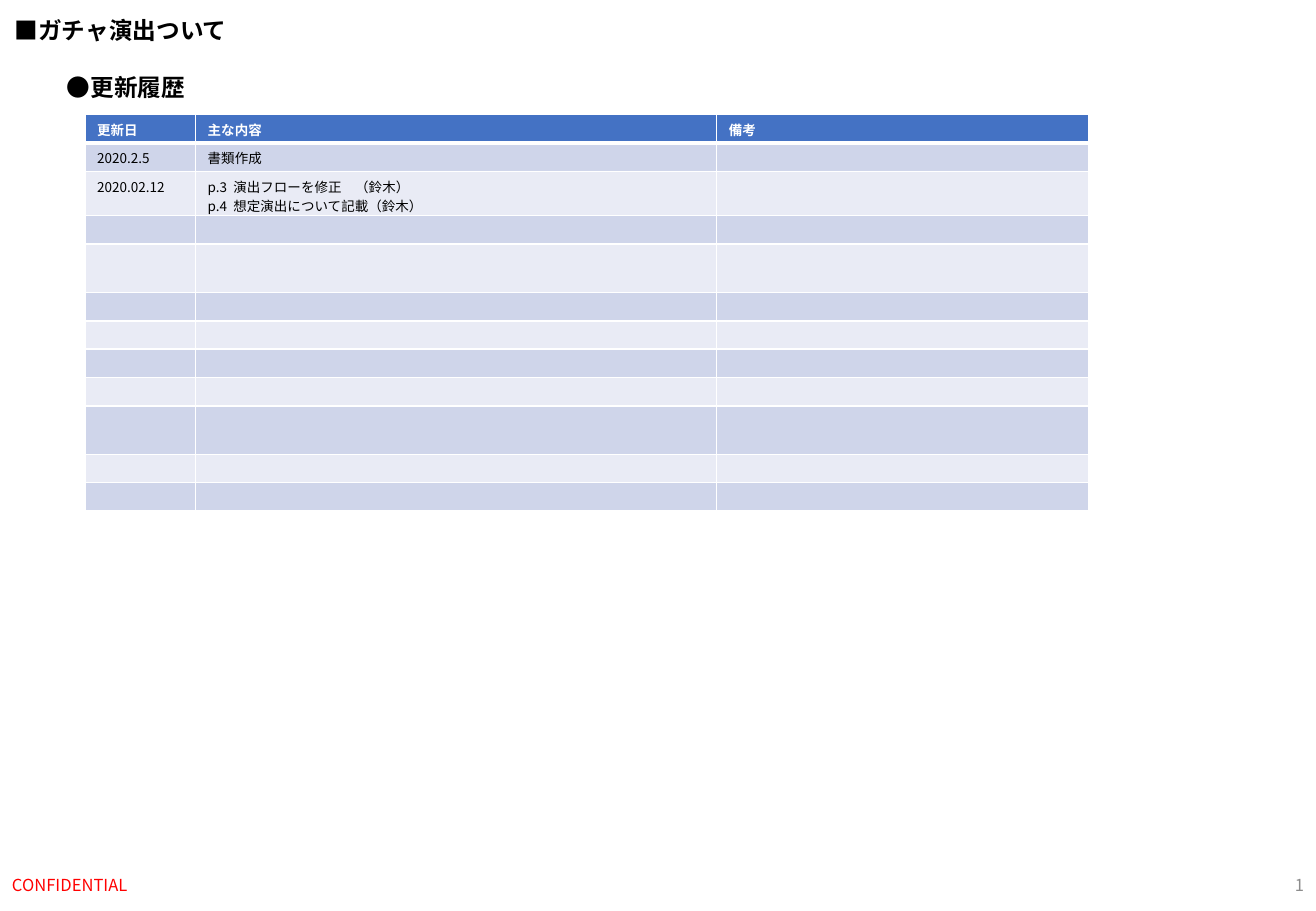
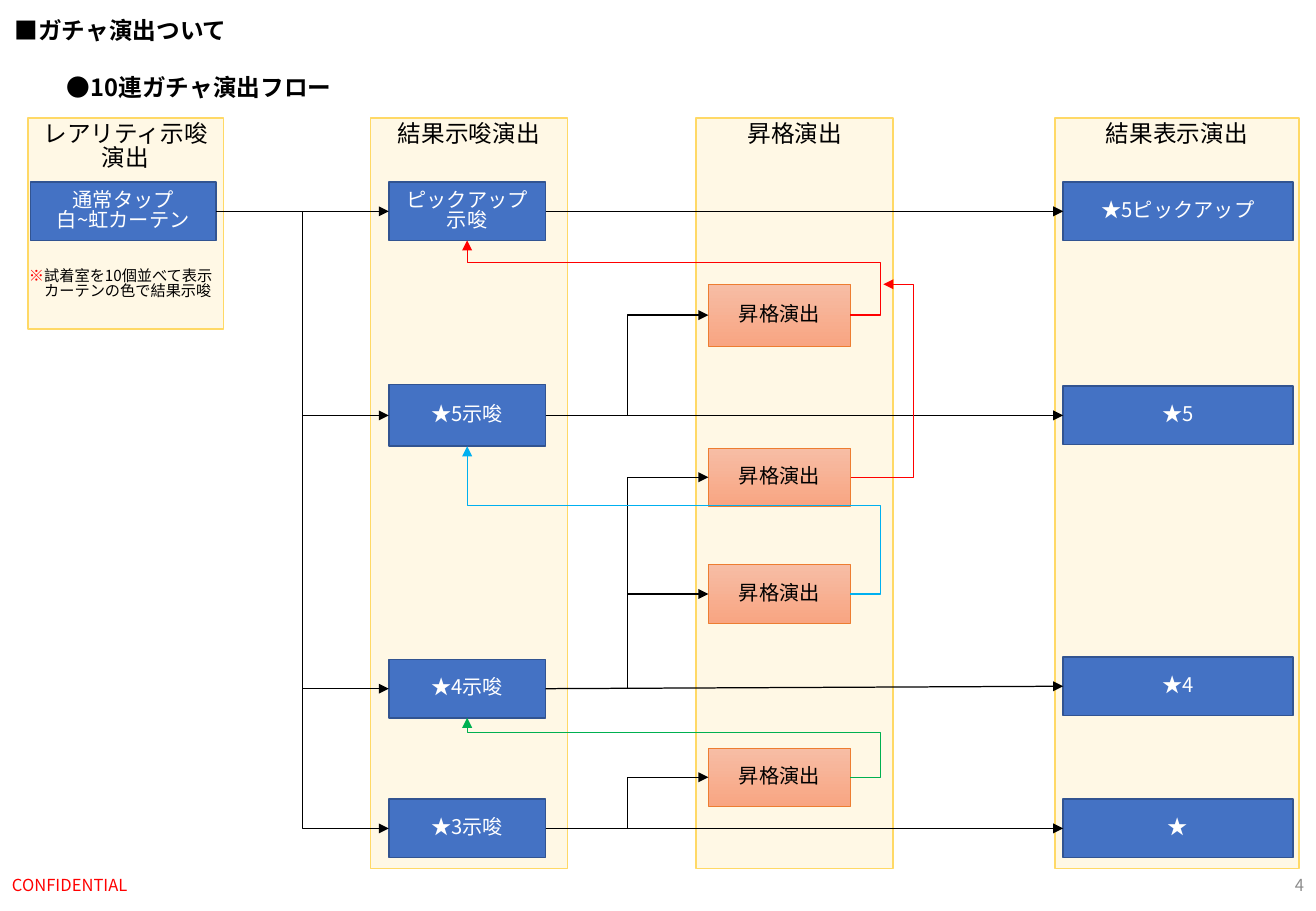
import lxml.etree
import pptx
import pptx.dml.color
import pptx.enum.shapes
import pptx.enum.text
import pptx.oxml.ns
import pptx.util

FONT = "Noto Sans CJK JP"
BLACK, WHITE, RED, GRAY = "000000", "FFFFFF", "FF0000", "8C8C8C"
BLUE, NAVY, ORANGE, GOLD, CREAM = "4472C4", "325491", "ED7D31", "FFD966", "FFF2CC"
CYAN, GREEN = "00B0F0", "00B050"
BANDS = ("E9EBF5", "CFD5EA")
PEACH = ("F7BDA5", "F8A582")
LEFT, BOTTOM, RIGHT = 1, 2, 3
ALIGN = pptx.enum.text.PP_ALIGN
ANCHOR = pptx.enum.text.MSO_ANCHOR
CONNECTOR = pptx.enum.shapes.MSO_CONNECTOR
RECT = pptx.enum.shapes.MSO_SHAPE.RECTANGLE


def rgb(value):
    return pptx.dml.color.RGBColor.from_string(value)


def add_xml(parent, tag, **attributes):
    return lxml.etree.SubElement(parent, pptx.oxml.ns.qn(tag), attributes)


class Deck:
    def __init__(self):
        self.prs = pptx.Presentation()
        self.prs.slide_width = pptx.util.Inches(10.83)
        self.prs.slide_height = pptx.util.Inches(7.5)
        self.s = None

    def x(self, percent):
        return round(self.prs.slide_width * percent / 100)

    def y(self, percent):
        return round(self.prs.slide_height * percent / 100)

    def frame(self, x, y, w, h):
        return self.x(x), self.y(y), self.x(w), self.y(h)

    def set_text(self, tf, text, size, color=BLACK, bold=False, align=ALIGN.LEFT,
                 anchor=ANCHOR.TOP, spacing=0.83):
        tf.word_wrap = True
        tf.vertical_anchor = anchor
        tf.auto_size = pptx.enum.text.MSO_AUTO_SIZE.NONE
        self.paragraphs(tf, text, size, color, bold, align, spacing)

    def paragraphs(self, tf, text, size, color, bold, align, spacing):
        for i, line in enumerate(text.split("\n")):
            p = tf.add_paragraph() if i else tf.paragraphs[0]
            if line:
                p.add_run().text = line
            p.alignment = align
            p.line_spacing = spacing
            p.space_before = pptx.util.Pt(0)
            pPr = p._p.get_or_add_pPr()
            pPr.set("marL", "0")
            pPr.set("indent", "0")
            add_xml(pPr, "a:buNone")
            p.font.size = pptx.util.Pt(size)
            p.font.bold = bold
            p.font.color.rgb = rgb(color)
            p.font.name = FONT
            add_xml(pPr.find(pptx.oxml.ns.qn("a:defRPr")), "a:ea", typeface=FONT)

    def slide(self, heading, number):
        self.s = self.prs.slides.add_slide(self.prs.slide_layouts[1])
        title, body = self.s.placeholders
        for sp, text, x, y in ((title, "■ガチャ演出ついて", 0.18, 1.6),
                               (body, heading, 4.16, 7.87)):
            sp.left, sp.top, sp.width, sp.height = self.frame(x, y, 30, 4.53)
            self.set_text(sp.text_frame, text, 14, bold=True)
        self.text("CONFIDENTIAL", 0, 94.67, 31.21, 5.33, 9.8, RED, anchor=ANCHOR.MIDDLE)
        self.text(number, 79.22, 94.67, 20.78, 5.33, 9.8, GRAY,
                  align=ALIGN.RIGHT, anchor=ANCHOR.MIDDLE)

    def text(self, text, x, y, w, h, size, color=BLACK, **style):
        sp = self.s.shapes.add_textbox(*self.frame(x, y, w, h))
        self.set_text(sp.text_frame, text, size, color, **style)
        return sp.text_frame

    def rect(self, x, y, w, h, line, width):
        sp = self.s.shapes.add_shape(RECT, *self.frame(x, y, w, h))
        sp.shadow.inherit = False
        sp.line.color.rgb = rgb(line)
        sp.line.width = pptx.util.Pt(width)
        return sp

    def panel(self, text, x, w, h=82.4):
        sp = self.rect(x, 12.93, w, h, GOLD, 1)
        sp.fill.solid()
        sp.fill.fore_color.rgb = rgb(CREAM)
        color = sp._element.spPr.find(".//" + pptx.oxml.ns.qn("a:srgbClr"))
        add_xml(color, "a:alpha", val="50000")
        self.set_text(sp.text_frame, text, 14, align=ALIGN.CENTER)

    def step(self, text, x, middle, w, h=6.4):
        sp = self.rect(x, middle - h / 2, w, h, NAVY, 1)
        sp.fill.solid()
        sp.fill.fore_color.rgb = rgb(BLUE)
        self.set_text(sp.text_frame, text, 12, WHITE, align=ALIGN.CENTER,
                      anchor=ANCHOR.MIDDLE)
        return sp

    def promotion(self, middle, h=6.4):
        sp = self.rect(53.83, middle - h / 2, 10.8, h, ORANGE, 0.5)
        sp.fill.gradient()
        sp.fill.gradient_angle = 270
        for stop, color, position in zip(sp.fill.gradient_stops, PEACH, (0, 1)):
            stop.color.rgb = rgb(color)
            stop.position = position
        self.set_text(sp.text_frame, "昇格演出", 12, align=ALIGN.CENTER,
                      anchor=ANCHOR.MIDDLE)
        return sp

    def arrow(self, begin, end, color=BLACK, site=LEFT, via_x=None, via_y=None):
        kind = CONNECTOR.STRAIGHT if via_x is None else CONNECTOR.ELBOW
        c = self.s.shapes.add_connector(kind, 0, 0, 0, 0)
        c.begin_connect(begin, RIGHT)
        if isinstance(end, tuple):
            c.end_x, c.end_y = self.x(end[0]), self.y(end[1])
        else:
            c.end_connect(end, site)
        if via_x is not None:
            self.bend(c, via_x, via_y)
        c.line.color.rgb = rgb(color)
        c.line.width = pptx.util.Pt(0.75)
        spPr = c._element.spPr
        add_xml(spPr.find(pptx.oxml.ns.qn("a:ln")), "a:tailEnd", type="triangle")
        add_xml(spPr, "a:effectLst")

    def bend(self, c, via_x, via_y):
        shares = [(self.x(via_x) - c.begin_x) / (c.end_x - c.begin_x)]
        if via_y is not None:
            shares.append((self.y(via_y) - c.begin_y) / (c.end_y - c.begin_y))
        geom = c._element.spPr.find(pptx.oxml.ns.qn("a:prstGeom"))
        geom.set("prst", f"bentConnector{len(shares) + 2}")
        for old in list(geom):
            geom.remove(old)
        guides = add_xml(geom, "a:avLst")
        for i, share in enumerate(shares, 1):
            add_xml(guides, "a:gd", name=f"adj{i}", fmla=f"val {round(share * 100000)}")

    def table(self, x, y, widths, heights, rows):
        frame = self.s.shapes.add_table(len(heights), len(widths),
                                        *self.frame(x, y, sum(widths), sum(heights)))
        table = frame.table
        for column, width in zip(table.columns, widths):
            column.width = self.x(width)
        for i, (row, height) in enumerate(zip(table.rows, heights)):
            row.height = self.y(height)
            texts = rows[i] if i < len(rows) else ("",) * len(widths)
            for cell, text in zip(row.cells, texts):
                self.cell(cell, text, i)

    def cell(self, cell, text, row):
        header = row == 0
        cell.margin_top = pptx.util.Inches(0.04)
        cell.margin_bottom = 0
        self.paragraphs(cell.text_frame, text, 8, WHITE if header else BLACK,
                        header, ALIGN.LEFT, 1.0)
        thick = {0: "a:lnB", 1: "a:lnT"}.get(row)
        tcPr = cell._tc.get_or_add_tcPr()
        for side in ("a:lnL", "a:lnR", "a:lnT", "a:lnB"):
            ln = add_xml(tcPr, side, w=str(pptx.util.Pt(3 if side == thick else 1)))
            add_xml(add_xml(ln, "a:solidFill"), "a:srgbClr", val=WHITE)
        cell.fill.solid()
        cell.fill.fore_color.rgb = rgb(BLUE if header else BANDS[row % 2])


def history(deck):
    deck.slide("●更新履歴", "1")
    one, two, tall = 3.11, 4.87, 5.33
    heights = [one, one, two, one, tall, one, one, one, one, tall, one, one]
    deck.table(6.46, 12.6, (8.4, 39.61, 28.25), heights, [
        ("更新日", "主な内容", "備考"),
        ("2020.2.5", "書類作成", ""),
        ("2020.02.12", "p.3  演出フローを修正　（鈴木）\np.4  想定演出について記載（鈴木）", ""),
    ])


def flow(deck):
    deck.slide("●10連ガチャ演出フロー", "4")
    deck.panel("結果表示演出", 80.15, 18.56)
    deck.panel("昇格演出", 52.91, 14.96)
    deck.panel("結果示唆演出", 28.16, 14.96)
    deck.panel("レアリティ示唆演出", 2.12, 14.87, 23.2)

    tap = deck.step("通常タップ\n白~虹カーテン", 2.31, 23.2, 14.13)
    hints = [deck.step(text, 29.55, middle, 11.91, h) for text, middle, h in (
        ("ピックアップ\n示唆", 23.2, 6.4), ("★5示唆", 45.6, 6.8),
        ("★4示唆", 75.6, 6.4), ("★3示唆", 90.93, 6.4))]
    results = [deck.step(text, 80.79, middle, 17.45) for text, middle in (
        ("★5ピックアップ", 23.2), ("★5", 45.6), ("★4", 75.33), ("★", 90.93))]
    to_pickup = deck.promotion(34.6, 6.8)
    four_to_pickup, four_to_five, three_to_four = map(deck.promotion, (52.4, 65.2, 85.33))

    tf = deck.text("※\nカーテンの色で結果示唆", 1.29, 28.93, 16.16, 5.33, 9)
    first, second = tf.paragraphs
    first.runs[0].font.color.rgb = rgb(RED)
    first.add_run().text = "試着室を10個並べて表示"
    second._p.get_or_add_pPr().set("marL", str(pptx.util.Pt(9)))

    deck.arrow(tap, hints[0])
    for hint in hints[1:]:
        deck.arrow(tap, hint, via_x=23)
    for hint, result in zip(hints, results):
        deck.arrow(hint, result)
    for hint, promotion in ((hints[1], to_pickup), (hints[2], four_to_pickup),
                            (hints[2], four_to_five), (hints[3], three_to_four)):
        deck.arrow(hint, promotion, via_x=47.7)
    for promotion, hint, color, via_y in ((to_pickup, hints[0], RED, 28.8),
                                          (four_to_five, hints[1], CYAN, 55.47),
                                          (three_to_four, hints[2], GREEN, 80.4)):
        deck.arrow(promotion, hint, color, BOTTOM, 66.94, via_y)
    deck.arrow(four_to_pickup, (67.13, 31.2), RED, via_x=69.44)


def main():
    deck = Deck()
    history(deck)
    flow(deck)
    deck.prs.save("out.pptx")


if __name__ == "__main__":
    main()
